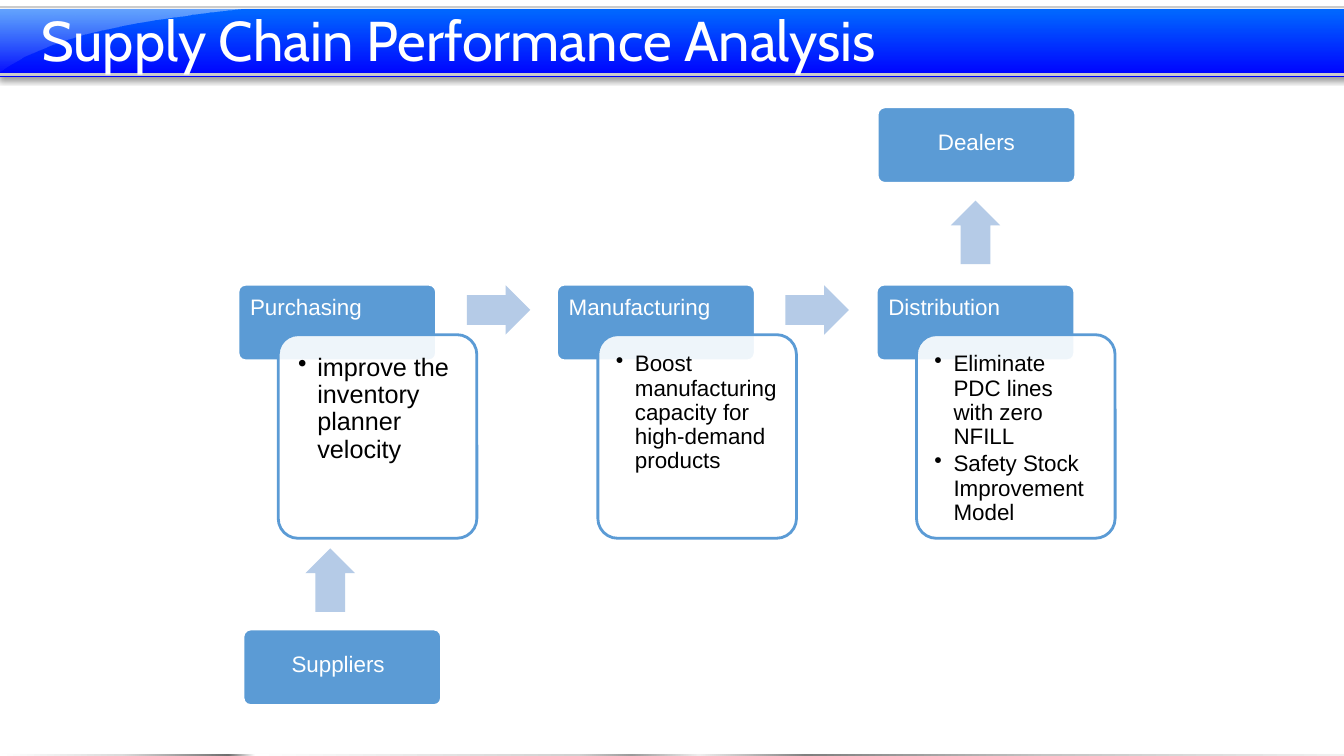
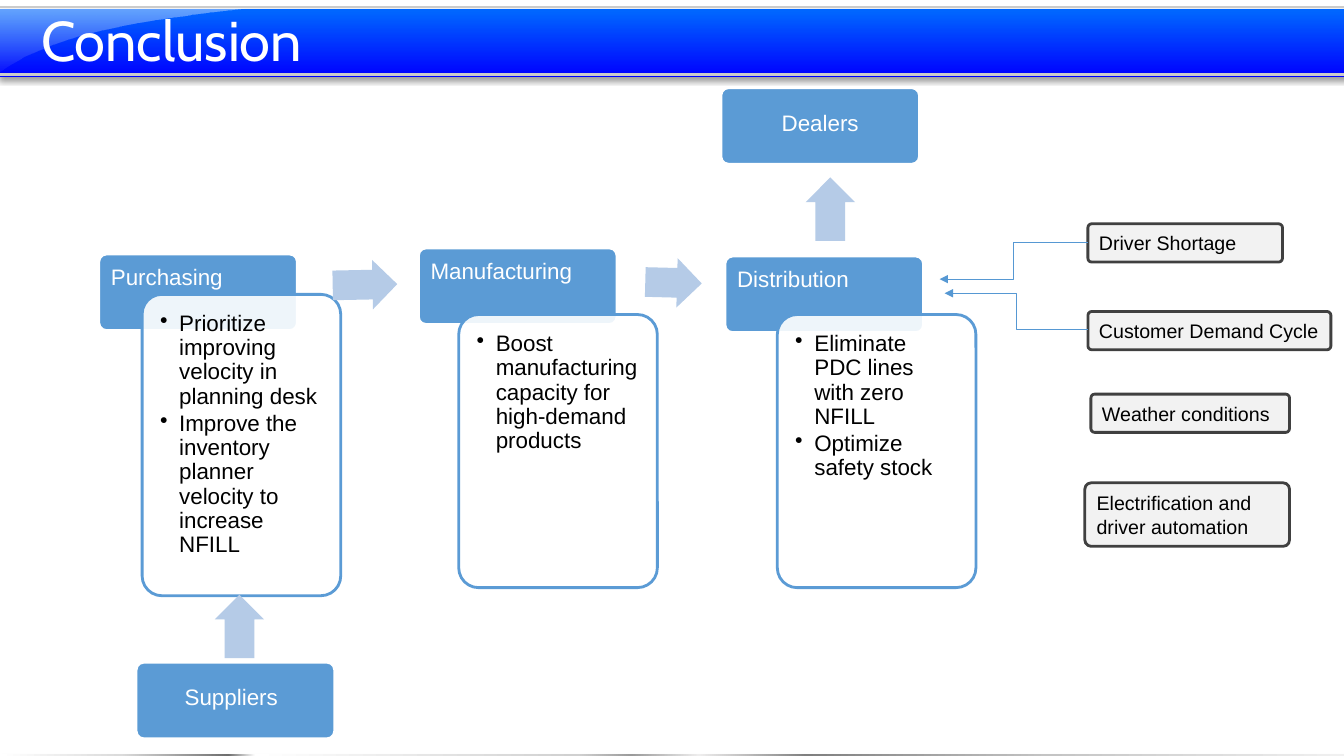
from dataclasses import dataclass

from lxml.etree import SubElement
from pptx import Presentation
from pptx.dml.color import RGBColor
from pptx.enum.shapes import MSO_CONNECTOR, MSO_SHAPE
from pptx.enum.text import MSO_ANCHOR, MSO_AUTO_SIZE, PP_ALIGN
from pptx.oxml.ns import qn
from pptx.util import Inches, Pt


@dataclass(frozen=True)
class Theme:
    white: str = "FFFFFF"
    black: str = "000000"
    blue: str = "5B9BD5"
    arrow: str = "B5CBE7"
    link: str = "5698D3"
    factor_fill: str = "F2F2F2"
    factor_line: str = "404040"
    band_rim: str = "CBCBCB"
    # Gradient stops: position, colour, opacity in percent
    band: tuple = ((0, "0066FF", 100), (3, "0066FF", 100), (100, "0000FF", 100))
    gloss: tuple = ((0, "F6F9FC", 44), (100, "CCE0F2", 0))
    steel: tuple = tuple((at, colour, 100) for at, colour in (
        (0, "FFFFFF"), (9, "DBDBDB"), (17, "6E6E6E"), (19, "FFFFFF"), (43, "D0D0D0"),
        (47, "9A9A9A"), (52, "EEEDED"), (60, "7F7F7F"), (78, "C4C4C4"), (100, "F0F0F0")))
    title_font: str = "Cabin"
    body_font: str = "Arial"
    title_size: float = 40
    label_size: float = 16
    factor_size: float = 14


@dataclass(frozen=True)
class Box:
    left: float
    top: float
    width: float
    height: float

    def lengths(self):
        return [Inches(v) for v in (self.left, self.top, self.width, self.height)]


@dataclass(frozen=True)
class Stage:
    name: str
    left: float
    top: float
    card: Box
    bullets: tuple
    size: float = 16
    inset: float = 0.12


@dataclass(frozen=True)
class Partner:
    name: str
    left: float
    top: float
    extra_right: float = 0


@dataclass(frozen=True)
class Arrow:
    left: float
    top: float
    rotation: float = 0
    width: float = 0.63


@dataclass(frozen=True)
class Factor:
    text: str
    box: Box


@dataclass(frozen=True)
class Link:
    start: tuple
    end: tuple


@dataclass(frozen=True)
class Flow:
    title: str
    stages: tuple
    partners: tuple
    arrows: tuple
    factors: tuple = ()
    links: tuple = ()


THEME = Theme()
LABEL_WIDTH, LABEL_HEIGHT = 1.97, 0.76
ARROW_HEIGHT = 0.49
UP = 270


# Formatting helpers
def rgb(colour: str) -> RGBColor:
    return RGBColor.from_string(colour)


def style(shape, fill: str | None = None, line: str | None = None, width: float = 2) -> None:
    shape.shadow.inherit = False
    if fill:
        shape.fill.solid()
        shape.fill.fore_color.rgb = rgb(fill)
    else:
        shape.fill.background()
    if line:
        shape.line.color.rgb = rgb(line)
        shape.line.width = Pt(width)
    else:
        shape.line.fill.background()


def set_gradient(shape, stops: tuple, angle: int) -> None:
    shape.fill.gradient()
    gradient = shape.element.spPr.find(qn("a:gradFill"))
    for child in list(gradient):
        gradient.remove(child)
    stop_list = SubElement(gradient, qn("a:gsLst"))
    for position, colour, opacity in stops:
        stop = SubElement(stop_list, qn("a:gs"), pos=str(position * 1000))
        tint = SubElement(stop, qn("a:srgbClr"), val=colour)
        SubElement(tint, qn("a:alpha"), val=str(opacity * 1000))
    SubElement(gradient, qn("a:lin"), ang=str(angle * 60000), scaled="0")


def add_shadow(shape) -> None:
    effects = shape.element.spPr.find(qn("a:effectLst"))
    shadow = SubElement(effects, qn("a:outerShdw"), blurRad=str(Pt(4)), dist=str(Pt(3)),
                        dir=str(45 * 60000), algn="tl", rotWithShape="0")
    tint = SubElement(shadow, qn("a:srgbClr"), val=THEME.black)
    SubElement(tint, qn("a:alpha"), val="40000")


def set_font(paragraph, name: str, size: float, colour: str) -> None:
    paragraph.font.name = name
    paragraph.font.size = Pt(size)
    paragraph.font.color.rgb = rgb(colour)


def set_insets(frame, left: float, top: float, right: float, bottom: float) -> None:
    frame.margin_left, frame.margin_top = Inches(left), Inches(top)
    frame.margin_right, frame.margin_bottom = Inches(right), Inches(bottom)


def add_bullet(paragraph) -> None:
    properties = paragraph._p.get_or_add_pPr()
    properties.set("marL", str(Inches(0.19)))
    properties.set("indent", str(Inches(-0.19)))
    SubElement(properties, qn("a:buChar"), char="•")


# Parts shared by all slides
def curve(start: tuple, first: tuple, second: tuple, end: tuple, steps: int = 16) -> list:
    """Points along a cubic curve, without its start."""
    points = []
    for step in range(1, steps + 1):
        t = step / steps
        weights = ((1 - t) ** 3, 3 * t * (1 - t) ** 2, 3 * t * t * (1 - t), t ** 3)
        points.append(tuple(Inches(sum(w * p[axis] for w, p in zip(weights, (start, first, second, end))))
                            for axis in (0, 1)))
    return points


def build_layout(layout, page) -> None:
    """Draw the background parts on a page, then move them to its layout."""
    def rectangle(box: Box):
        shape = page.shapes.add_shape(MSO_SHAPE.RECTANGLE, *box.lengths())
        style(shape)
        return shape

    strip = rectangle(Box(0, 7.48, 13.33, 0.02))
    set_gradient(strip, THEME.steel, 0)
    add_shadow(strip)
    band = rectangle(Box(-0.04, 0.09, 13.49, 0.67))
    set_gradient(band, THEME.band, 90)
    add_shadow(band)

    corner, tip, foot = (-0.07, 0.06), (2.42, 0.09), (-0.09, 0.79)
    outline = page.shapes.build_freeform(Inches(corner[0]), Inches(corner[1]))
    outline.add_line_segments(
        [(Inches(tip[0]), Inches(tip[1]))]
        + curve(tip, (1.51, 0.19), (0.4, 0.33), foot)
        + curve(foot, (-0.1, 0.43), (-0.07, 0.51), corner))
    gloss = outline.convert_to_shape()
    style(gloss)
    set_gradient(gloss, THEME.gloss, 90)

    rim = rectangle(Box(-0.04, 0.07, 13.49, 0.67))
    style(rim, line=THEME.band_rim, width=1.5)

    for order, shape in enumerate((strip, band, gloss, rim)):
        shape.element.nvSpPr.cNvPr.set("id", str(100 + order))
        layout.shapes.element.insert(2 + order, shape.element)
    title = layout.placeholders[0]
    title.left, title.top, title.width, title.height = Box(0.31, 0.15, 11.5, 0.57).lengths()


def set_title(page, text: str) -> None:
    frame = page.shapes.title.text_frame
    frame.text = text
    frame.word_wrap = True
    frame.auto_size = MSO_AUTO_SIZE.NONE
    frame.vertical_anchor = MSO_ANCHOR.MIDDLE
    set_insets(frame, 0.1, 0.05, 0.1, 0.05)
    paragraph = frame.paragraphs[0]
    paragraph.alignment = PP_ALIGN.LEFT
    paragraph.line_spacing = 0.9
    set_font(paragraph, THEME.title_font, THEME.title_size, THEME.white)


# Parts of the flow
def add_rounded(page, box: Box, fill: str, line: str, lines: tuple, size: float, colour: str):
    shape = page.shapes.add_shape(MSO_SHAPE.ROUNDED_RECTANGLE, *box.lengths())
    shape.adjustments[0] = 0.1
    style(shape, fill, line)
    frame = shape.text_frame
    frame.word_wrap = True
    frame.text = "\n".join(lines)
    for paragraph in frame.paragraphs:
        paragraph.alignment = PP_ALIGN.LEFT
        set_font(paragraph, THEME.body_font, size, colour)
    return shape


def add_label(page, name: str, left: float, top: float):
    label = add_rounded(page, Box(left, top, LABEL_WIDTH, LABEL_HEIGHT), THEME.blue, THEME.white,
                        (name,), THEME.label_size, THEME.white)
    frame = label.text_frame
    frame.vertical_anchor = MSO_ANCHOR.TOP
    set_insets(frame, 0.1, 0.1, 0.1, 0.05)
    frame.paragraphs[0].line_spacing = 0.9
    return label


def add_stage(page, stage: Stage) -> None:
    add_label(page, stage.name, stage.left, stage.top)
    card = page.shapes.add_shape(MSO_SHAPE.ROUNDED_RECTANGLE, *stage.card.lengths())
    card.adjustments[0] = 0.1
    style(card, THEME.white, THEME.blue)
    tint = card.element.spPr.find(qn("a:solidFill")).find(qn("a:srgbClr"))
    SubElement(tint, qn("a:alpha"), val="90000")
    frame = card.text_frame
    frame.word_wrap = True
    frame.vertical_anchor = MSO_ANCHOR.TOP
    set_insets(frame, *[stage.inset] * 4)
    frame.text = "\n".join(stage.bullets)
    for paragraph in frame.paragraphs:
        add_bullet(paragraph)
        paragraph.alignment = PP_ALIGN.LEFT
        paragraph.line_spacing = 0.9
        paragraph.space_after = Pt(0.15 * stage.size)
        set_font(paragraph, THEME.body_font, stage.size, THEME.black)


def add_partner(page, partner: Partner) -> None:
    frame = add_label(page, partner.name, partner.left, partner.top).text_frame
    set_insets(frame, 0.1, 0.22, 0.1 + partner.extra_right, 0.05)
    frame.paragraphs[0].alignment = PP_ALIGN.CENTER


def add_arrow(page, arrow: Arrow) -> None:
    box = Box(arrow.left, arrow.top, arrow.width, ARROW_HEIGHT)
    shape = page.shapes.add_shape(MSO_SHAPE.RIGHT_ARROW, *box.lengths())
    shape.adjustments[0], shape.adjustments[1] = 0.6, 0.5
    shape.rotation = arrow.rotation
    style(shape, THEME.arrow)


def add_link(page, link: Link) -> None:
    ends = [Inches(v) for v in link.start + link.end]
    connector = page.shapes.add_connector(MSO_CONNECTOR.ELBOW, *ends)
    connector.line.color.rgb = rgb(THEME.link)
    connector.line.width = Pt(0.75)
    SubElement(connector.line._get_or_add_ln(), qn("a:tailEnd"), type="triangle")
    SubElement(connector.element.spPr, qn("a:effectLst"))


def draw_flow(page, flow: Flow) -> None:
    set_title(page, flow.title)
    for stage in flow.stages:
        add_stage(page, stage)
    for arrow in flow.arrows:
        add_arrow(page, arrow)
    for partner in flow.partners:
        add_partner(page, partner)
    for factor in flow.factors:
        add_rounded(page, factor.box, THEME.factor_fill, THEME.factor_line,
                    (factor.text,), THEME.factor_size, THEME.black)
    for link in flow.links:
        add_link(page, link)


# Content
BOOST = "Boost manufacturing capacity for high-demand products"
ELIMINATE = "Eliminate PDC lines with zero NFILL"
FLOWS = (
    Flow("Supply Chain Performance Analysis",
         (Stage("Purchasing", 2.36, 2.82, Box(2.76, 3.32, 1.97, 2.02),
                ("improve the inventory planner velocity",), 18, 0.14),
          Stage("Manufacturing", 5.52, 2.82, Box(5.93, 3.32, 1.97, 2.02), (BOOST,)),
          Stage("Distribution", 8.69, 2.82, Box(9.09, 3.32, 1.97, 2.02),
                (ELIMINATE, "Safety Stock Improvement Model"))),
         (Partner("Dealers", 8.7, 1.06), Partner("Suppliers", 2.41, 6.24, 0.08)),
         (Arrow(4.63, 2.83), Arrow(7.79, 2.83), Arrow(9.36, 2.06, UP), Arrow(2.96, 5.51, UP))),
    Flow("Conclusion",
         (Stage("Purchasing", 0.98, 2.52, Box(1.41, 2.92, 1.97, 2.99),
                ("Prioritize improving velocity in planning desk",
                 "Improve the inventory planner velocity to increase NFILL")),
          Stage("Manufacturing", 4.15, 2.46, Box(4.55, 3.12, 1.97, 2.71), (BOOST,)),
          Stage("Distribution", 7.19, 2.54, Box(7.71, 3.12, 1.97, 2.71),
                (ELIMINATE, "Optimize safety stock"))),
         (Partner("Dealers", 7.15, 0.87), Partner("Suppliers", 1.35, 6.57, 0.08)),
         (Arrow(3.3, 2.58, 358.9, 0.64), Arrow(6.4, 2.56, 1.5, 0.56),
          Arrow(7.92, 1.83, UP), Arrow(2.06, 5.97, UP)),
         (Factor("Weather conditions", Box(10.82, 3.91, 1.97, 0.38)),
          Factor("Driver Shortage", Box(10.79, 2.22, 1.93, 0.38)),
          Factor("Customer Demand Cycle", Box(10.79, 3.09, 2.41, 0.38)),
          Factor("Electrification and driver automation", Box(10.76, 4.79, 2.03, 0.63))),
         (Link((10.79, 2.41), (9.32, 2.77)), Link((10.79, 3.27), (9.37, 2.91)))),
)

# Deck
deck = Presentation()
deck.slide_width, deck.slide_height = Inches(13.33), Inches(7.5)
title_only = deck.slide_layouts[5]
pages = [deck.slides.add_slide(title_only) for _ in FLOWS]
build_layout(title_only, pages[0])
for page, flow in zip(pages, FLOWS):
    draw_flow(page, flow)
deck.save("out.pptx")
